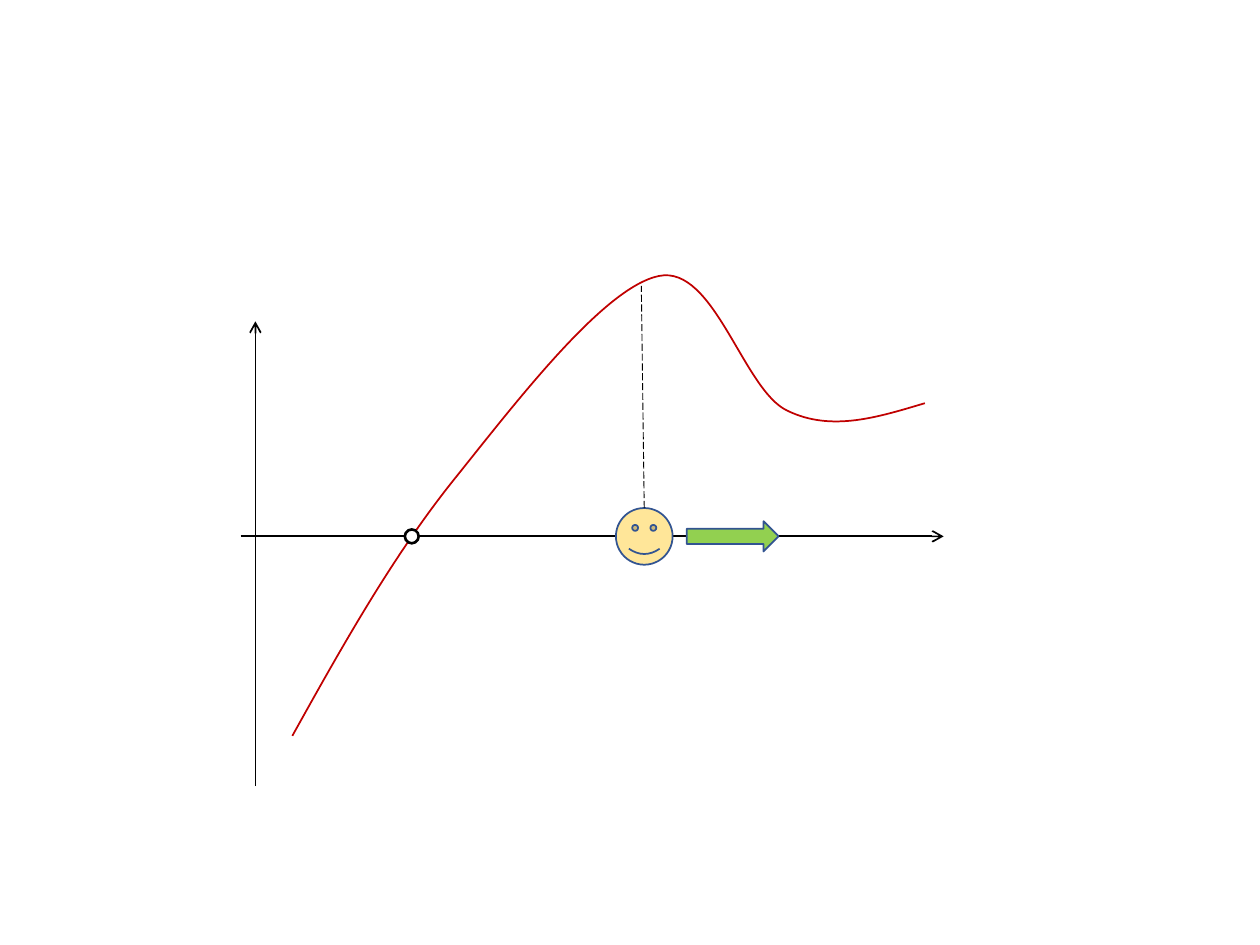
from lxml import etree
from pptx import Presentation
from pptx.dml.color import RGBColor
from pptx.enum.dml import MSO_LINE
from pptx.enum.shapes import MSO_CONNECTOR, MSO_SHAPE
from pptx.oxml.ns import qn
from pptx.util import Inches, Pt

BLACK = RGBColor(0x00, 0x00, 0x00)
WHITE = RGBColor(0xFF, 0xFF, 0xFF)
RED = RGBColor(0xC0, 0x00, 0x00)
YELLOW = RGBColor(0xFF, 0xE6, 0x99)
GREEN = RGBColor(0x92, 0xD0, 0x50)
BLUE = RGBColor(0x32, 0x54, 0x91)

STRAIGHT = MSO_CONNECTOR.STRAIGHT
DASH = MSO_LINE.LONG_DASH
OVAL = MSO_SHAPE.OVAL
SMILEY = MSO_SHAPE.SMILEY_FACE
ARROW = MSO_SHAPE.RIGHT_ARROW
TOP = 0

COLS, ROWS = 100, 75
AXIS_X, AXIS_Y = 20.27, 42.57
CURVE_START = (23.2, 58.4)
CURVE = [
    ((27.2, 51.2), (31.2, 44.1), (36.0, 38.1)),
    ((40.9, 32.0), (47.9, 22.8), (52.3, 21.9)),
    ((56.7, 21.0), (59.0, 31.0), (62.5, 32.6)),
    ((66.0, 34.3), (69.7, 33.1), (73.4, 32.0)),
]


class Diagram:
    def __init__(self, prs):
        self.slide = prs.slides.add_slide(prs.slide_layouts[6])
        self.col = prs.slide_width / COLS
        self.row = prs.slide_height / ROWS

    def at(self, x, y):
        return round(x * self.col), round(y * self.row)

    def stroke(self, sp, color, **fmt):
        sp.line.color.rgb = color
        for name, value in fmt.items():
            setattr(sp.line, name, value)

    def shape(self, kind, center, size, fill, color, width):
        (x, y), (w, h) = center, size
        sp = self.slide.shapes.add_shape(
            kind, *self.at(x - w / 2, y - h / 2), *self.at(w, h)
        )
        sp.shadow.inherit = False
        sp.fill.solid()
        sp.fill.fore_color.rgb = fill
        self.stroke(sp, color, width=width)
        return sp

    def line(self, start, end, arrow=False, **fmt):
        sp = self.slide.shapes.add_connector(
            STRAIGHT, *self.at(*start), *self.at(*end)
        )
        self.stroke(sp, BLACK, **fmt)
        if arrow:
            etree.SubElement(sp.line._get_or_add_ln(), qn("a:tailEnd"), type="arrow")
        etree.SubElement(sp._element.spPr, qn("a:effectLst"))
        return sp

    def curve(self, start, segments, color, width):
        builder = self.slide.shapes.build_freeform(*self.at(*start))
        builder.add_line_segments([self.at(*s[-1]) for s in segments], close=False)
        sp = builder.convert_to_shape()
        knots = list(sp._element.iter(qn("a:lnTo")))
        for knot, segment in zip(knots, segments):
            bezier = etree.Element(qn("a:cubicBezTo"))
            for point in segment:
                x, y = self.at(*point)
                etree.SubElement(
                    bezier, qn("a:pt"), x=str(x - sp.left), y=str(y - sp.top)
                )
            knot.getparent().replace(knot, bezier)
        sp.shadow.inherit = False
        sp.fill.background()
        self.stroke(sp, color, width=width)


def main():
    prs = Presentation()
    prs.slide_width, prs.slide_height = Inches(10), Inches(7.5)
    d = Diagram(prs)
    d.line((AXIS_X, 62.4), (AXIS_X, 25.5), arrow=True, width=Pt(1))
    d.line((19.1, AXIS_Y), (74.9, AXIS_Y), arrow=True, width=Pt(1))
    d.curve(CURVE_START, CURVE, RED, Pt(1))
    d.shape(OVAL, (32.68, AXIS_Y), (1.1, 1.1), WHITE, BLACK, Pt(1.5))
    face = d.shape(SMILEY, (51.13, AXIS_Y), (4.5, 4.5), YELLOW, BLUE, Pt(1))
    d.shape(ARROW, (58.15, AXIS_Y), (7.3, 2.4), GREEN, BLUE, Pt(1))
    guide = d.line((51.13, 40.32), (50.9, 22.7), width=Pt(0.5), dash_style=DASH)
    guide.begin_connect(face, TOP)
    prs.save("out.pptx")


if __name__ == "__main__":
    main()
